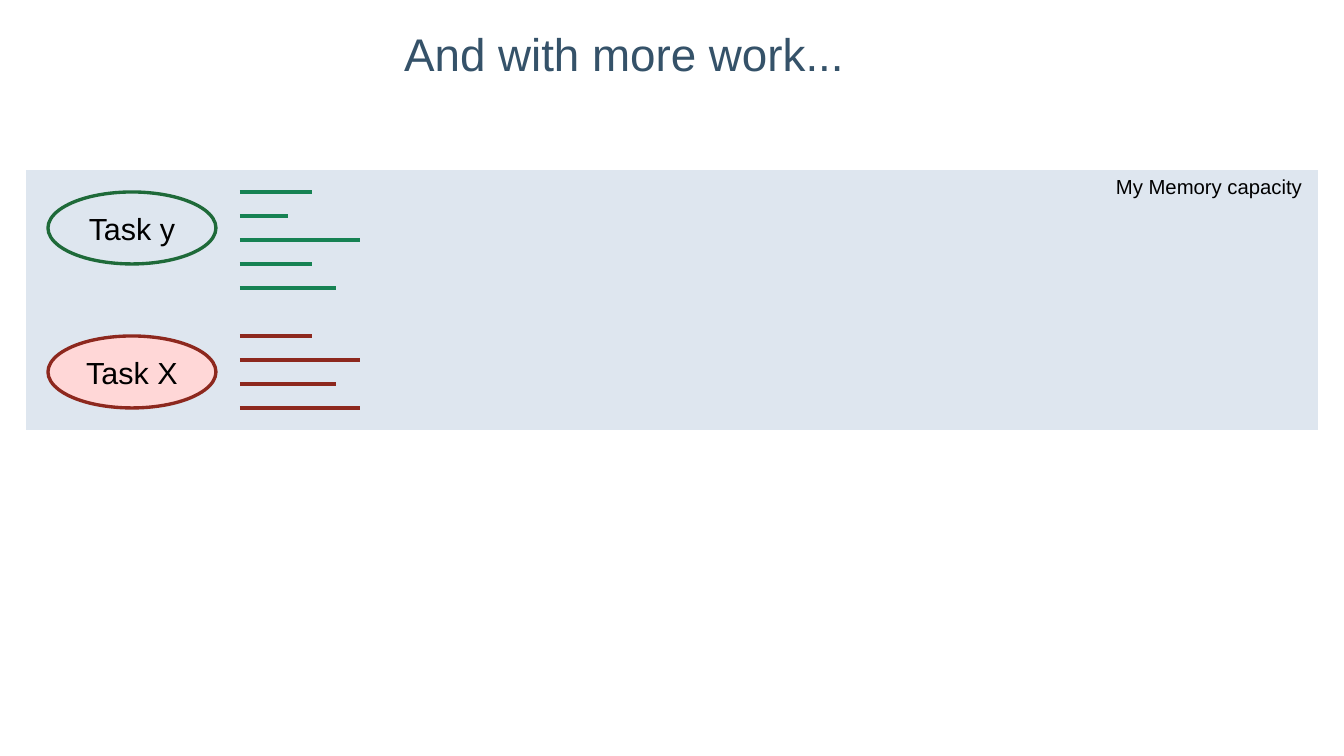
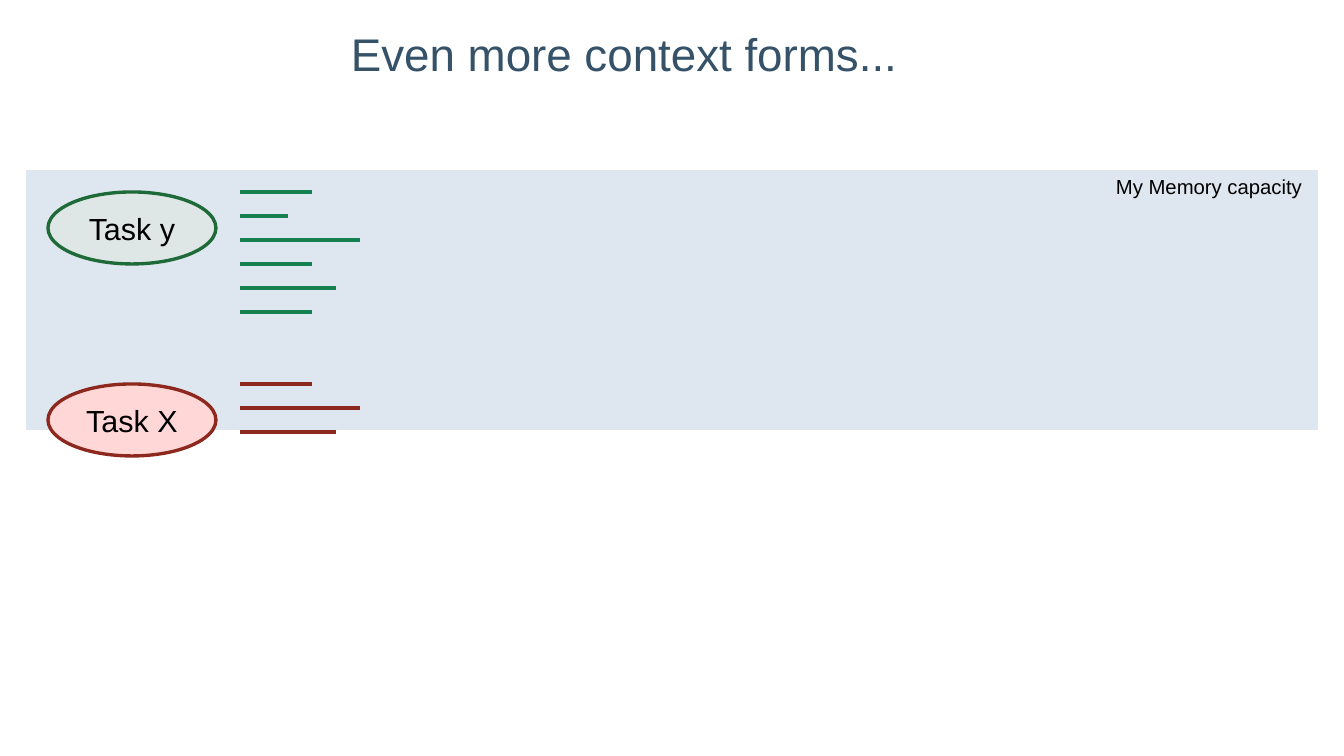
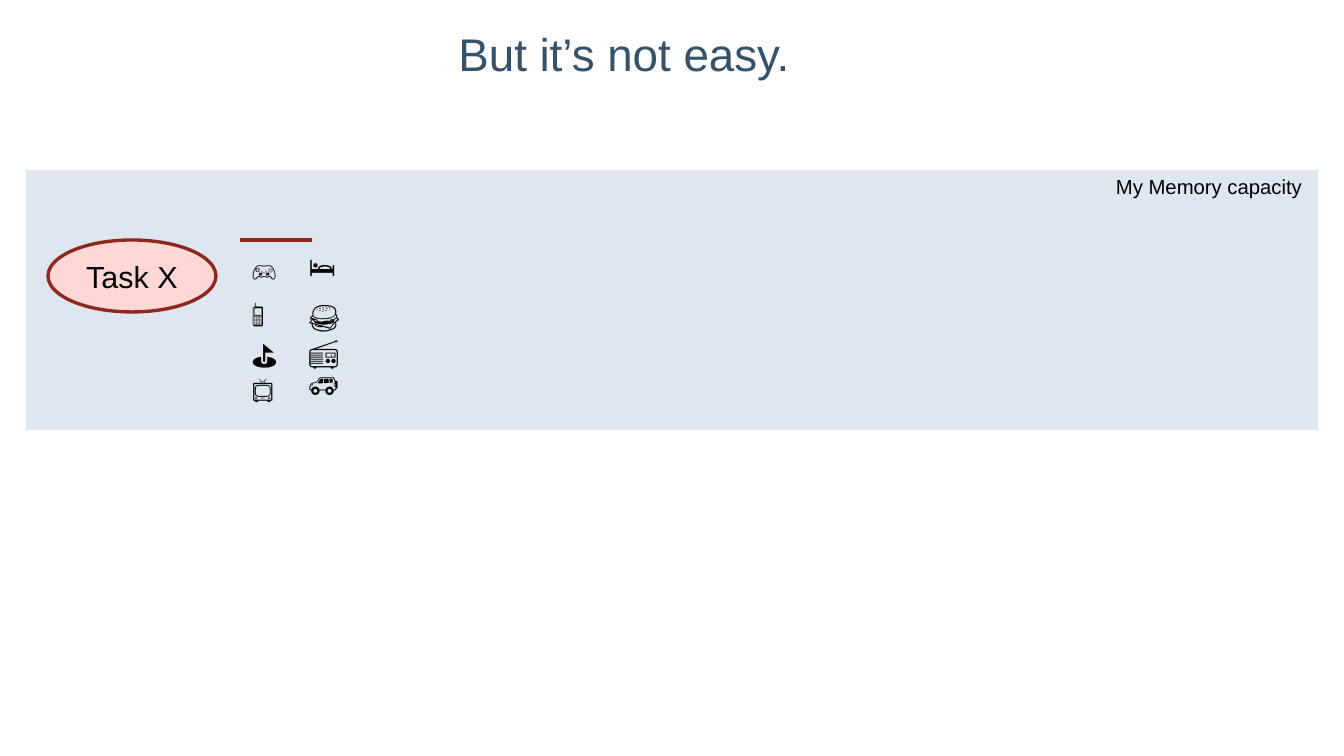
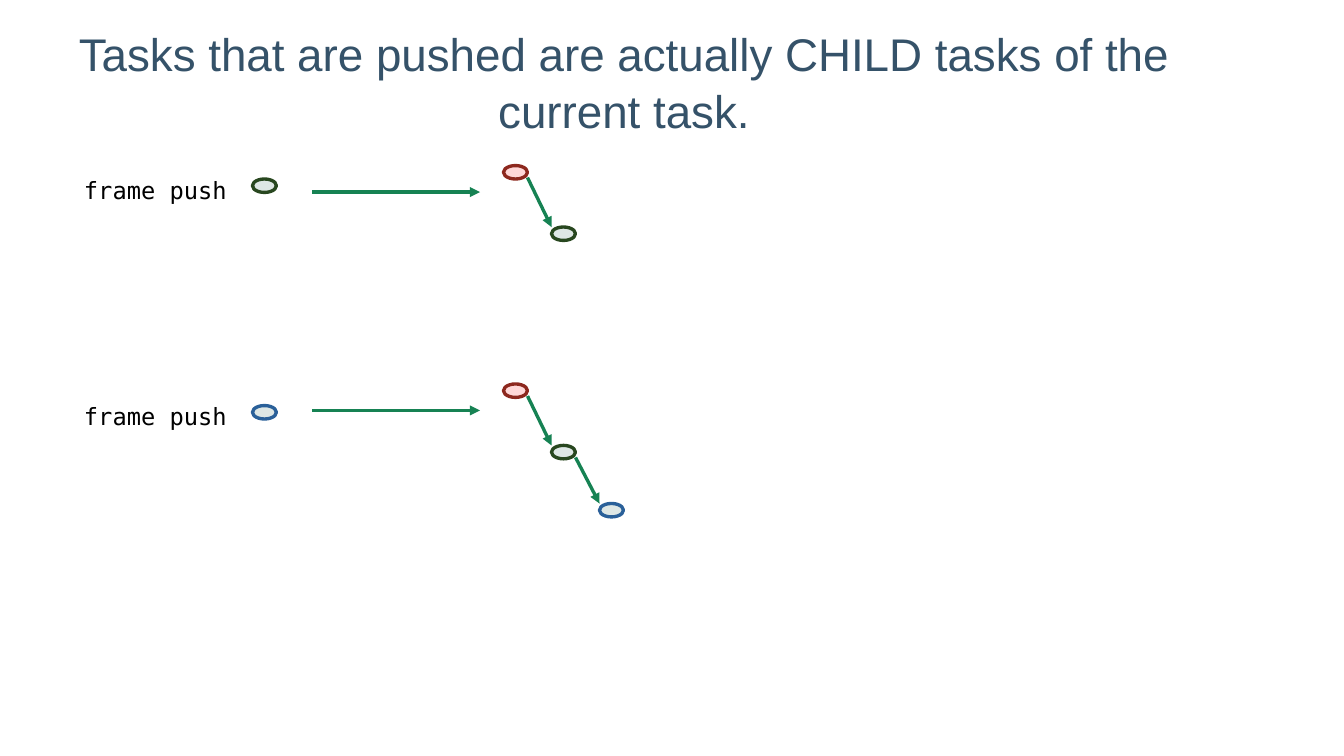
from lxml import etree
from pptx import Presentation
from pptx.dml.color import RGBColor
from pptx.enum.shapes import MSO_CONNECTOR as Connector, MSO_SHAPE as Shape
from pptx.enum.text import MSO_ANCHOR as Anchor, PP_ALIGN as Align
from pptx.oxml.ns import qn
from pptx.util import Cm, Pt

COLORS = {
    "title": "355269",
    "text": "000000",
    "white": "FFFFFF",
    "panel": "DEE6EF",
    "pale_red": "FFD7D7",
    "pale_green": "DEE7E5",
    "red": "8D281E",
    "green": "1E6A39",
    "line_green": "168253",
    "dark_green": "28471F",
    "blue": "2A6099",
}
SANS, MONO, ICON = "Arial", "DejaVu Sans Mono", "Roboto"
LINE_WIDTH = Pt(1.98)
NODE_WIDTH, NODE_HEIGHT = 0.5, 0.28
RED_NODE = ("pale_red", "red")
GREEN_NODE = ("pale_green", "dark_green")
BLUE_NODE = ("pale_green", "blue")
GREEN_LENGTHS = [1.5, 1, 2.5, 1.5, 2, 1.5]
RED_LENGTHS = [1.5, 2.5, 2, 2.5]


def color(name):
    return RGBColor.from_string(COLORS[name])


class Deck:
    def __init__(self):
        self.presentation = Presentation()
        self.presentation.slide_width = Cm(28)
        self.presentation.slide_height = Cm(15.75)
        self.slide = None

    def new_slide(self, title):
        self.slide = self.presentation.slides.add_slide(self.presentation.slide_layouts[6])
        box = self.text(title, 1.5, 0.5, 23, 3.5, 27, tone="title", align=Align.CENTER)
        frame = box.text_frame
        frame.word_wrap = True
        frame.margin_left = frame.margin_right = frame.margin_top = frame.margin_bottom = 0
        frame.paragraphs[0].line_spacing = 1.04

    def set_text(self, shape, text, size, font, tone, align):
        frame = shape.text_frame
        frame.text = text
        frame.word_wrap = False
        paragraph = frame.paragraphs[0]
        paragraph.alignment = align
        for run in paragraph.runs:
            run.font.name = font
            run.font.size = Pt(size)
            run.font.color.rgb = color(tone)

    def text(self, text, left, top, width, height, size, font=SANS, tone="text", align=Align.LEFT):
        box = self.slide.shapes.add_textbox(Cm(left), Cm(top), Cm(width), Cm(height))
        self.set_text(box, text, size, font, tone, align)
        return box

    def shape(self, kind, left, top, width, height, fill, outline):
        shape = self.slide.shapes.add_shape(kind, Cm(left), Cm(top), Cm(width), Cm(height))
        shape.shadow.inherit = False
        shape.fill.solid()
        shape.fill.fore_color.rgb = color(fill)
        shape.line.color.rgb = color(outline)
        shape.line.width = LINE_WIDTH
        return shape

    def line(self, start, end, tone, arrow=False):
        points = [Cm(value) for value in (*start, *end)]
        connector = self.slide.shapes.add_connector(Connector.STRAIGHT, *points)
        connector.line.color.rgb = color(tone)
        connector.line.width = LINE_WIDTH
        properties = connector._element.spPr
        if arrow:
            etree.SubElement(properties.find(qn("a:ln")), qn("a:tailEnd"), type="triangle")
        etree.SubElement(properties, qn("a:effectLst"))

    def memory_panel(self):
        self.shape(Shape.RECTANGLE, 0.5, 3.5, 27, 5.5, "panel", "white")
        self.text("My Memory capacity", 23, 3.5, 4.4, 0.74, 12)

    def task(self, name, top, fill, outline, line_tone, lengths):
        ellipse = self.shape(Shape.OVAL, 1, top, 3.5, 1.5, fill, outline)
        self.set_text(ellipse, name, 18, SANS, "text", Align.CENTER)
        ellipse.text_frame.vertical_anchor = Anchor.MIDDLE
        for index, length in enumerate(lengths):
            y = top + index * 0.5
            self.line((5, y), (5 + length, y), line_tone)

    def task_x(self, top, count):
        self.task("Task X", top, "pale_red", "red", "red", RED_LENGTHS[:count])

    def task_y(self, fill, count):
        self.task("Task y", 4, fill, "green", "line_green", GREEN_LENGTHS[:count])

    def node(self, left, top, style):
        self.shape(Shape.OVAL, left, top, NODE_WIDTH, NODE_HEIGHT, *style)

    def push(self, label_top, chain_top, pushed, chain):
        self.text("frame push", 1.5, label_top, 3.75, 0.74, 14, MONO)
        self.node(5.26, label_top + 0.2, pushed)
        arrow_y = chain_top + 0.55
        self.line((6.5, arrow_y), (10, arrow_y), "line_green", arrow=True)
        previous = None
        for index, (drop, style) in enumerate(chain):
            left, top = 10.49 + index, chain_top + drop
            self.node(left, top, style)
            if previous:
                start = (previous[0] + NODE_WIDTH, previous[1] + NODE_HEIGHT - 0.03)
                self.line(start, (left, top), "line_green", arrow=True)
            previous = (left, top)


def main():
    deck = Deck()

    deck.new_slide("And with more work...")
    deck.memory_panel()
    deck.task_x(7, 4)
    deck.task_y("panel", 5)

    deck.new_slide("Even more context forms...")
    deck.memory_panel()
    deck.task_x(8, 3)
    deck.task_y("pale_green", 6)

    deck.new_slide("But it’s not easy.")
    deck.memory_panel()
    deck.task_x(5, 1)
    left_icons = [("🎮", 5.21, 14), ("📱", 6.07, 15), ("⛳", 6.93, 15), ("📺", 7.65, 15)]
    right_icons = [("🛌", 5, 18), ("🍔", 6.07, 18), ("📻", 6.81, 18), ("🚙", 7.49, 18)]
    for left, icons in ((5, left_icons), (6.17, right_icons)):
        for icon, top, size in icons:
            deck.text(icon, left, top, 1.2, 1, size, ICON)

    deck.new_slide("Tasks that are pushed are actually CHILD tasks of the current task.")
    chain = [(0, RED_NODE), (1.28, GREEN_NODE), (2.49, BLUE_NODE)]
    deck.push(3.53, 3.45, GREEN_NODE, chain[:2])
    deck.push(8.25, 8, BLUE_NODE, chain)

    deck.presentation.save("out.pptx")


if __name__ == "__main__":
    main()
